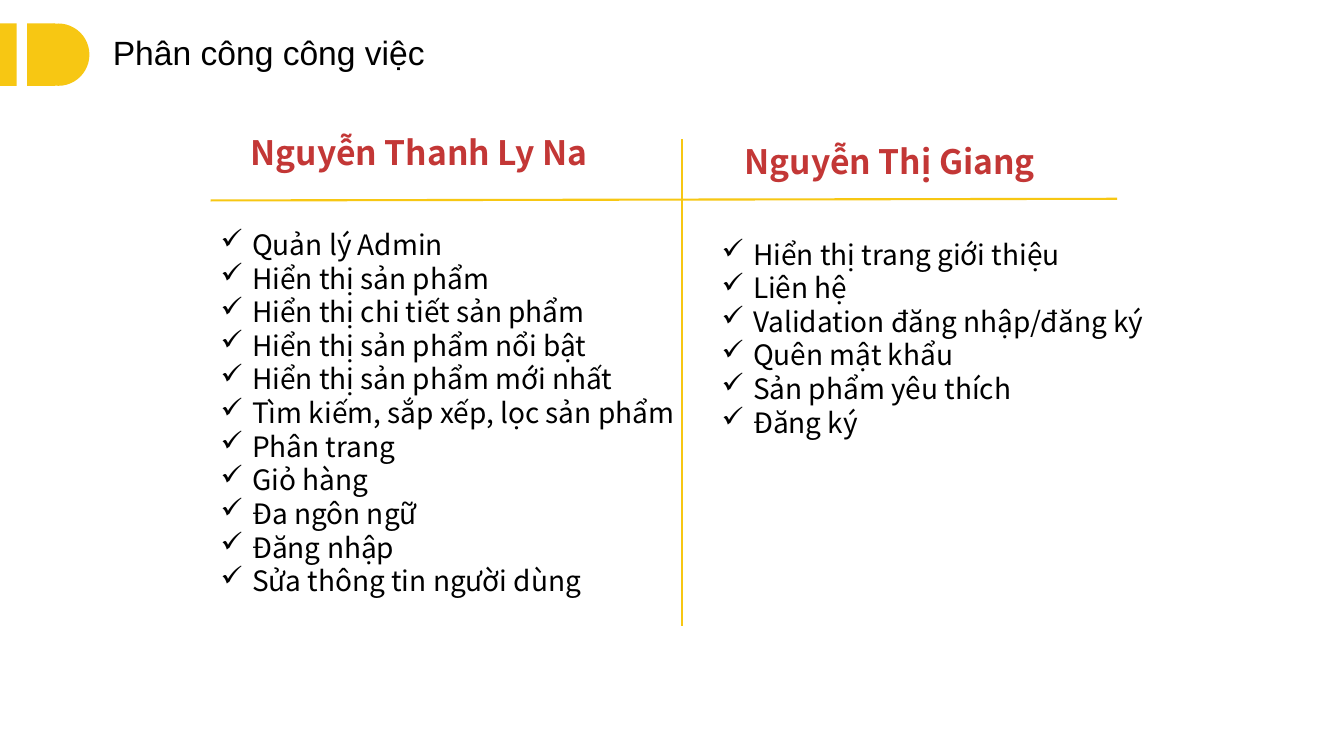
import pptx
import pptx.dml.color
import pptx.enum.shapes
import pptx.enum.text
import pptx.oxml.ns
import pptx.util
from lxml import etree

Pt = pptx.util.Pt
Shape = pptx.enum.shapes.MSO_SHAPE
Align = pptx.enum.text.PP_ALIGN

YELLOW = "F7C713"
RED = "C33736"
BLACK = "000000"
BODY_FONT = "Noto Sans CJK SC"
LEFT_TASKS = [
    "Quản lý Admin",
    "Hiển thị sản phẩm",
    "Hiển thị chi tiết sản phẩm",
    "Hiển thị sản phẩm nổi bật",
    "Hiển thị sản phẩm mới nhất",
    "Tìm kiếm, sắp xếp, lọc sản phẩm",
    "Phân trang",
    "Giỏ hàng",
    "Đa ngôn ngữ",
    "Đăng nhập",
    "Sửa thông tin người dùng",
]
RIGHT_TASKS = [
    "Hiển thị trang giới thiệu",
    "Liên hệ",
    "Validation đăng nhập/đăng ký",
    "Quên mật khẩu",
    "Sản phẩm yêu thích",
    "Đăng ký",
]


def color(value):
    return pptx.dml.color.RGBColor.from_string(value)


def add_block(shapes, kind, left, top, width, height):
    block = shapes.add_shape(kind, Pt(left), Pt(top), Pt(width), Pt(height))
    block.shadow.inherit = False
    block.fill.solid()
    block.fill.fore_color.rgb = color(YELLOW)
    block.line.fill.background()


def add_rule(shapes, start, end):
    rule = shapes.add_connector(
        pptx.enum.shapes.MSO_CONNECTOR.STRAIGHT,
        Pt(start[0]), Pt(start[1]), Pt(end[0]), Pt(end[1]))
    rule.line.color.rgb = color(YELLOW)
    rule.line.width = Pt(1.5)
    properties = rule._element.spPr
    etree.SubElement(properties, pptx.oxml.ns.qn("a:effectLst"))


def add_text(shapes, lines, left, top, width, height, size, font, shade,
             bold=False, align=Align.LEFT, wrap=True):
    box = shapes.add_textbox(Pt(left), Pt(top), Pt(width), Pt(height))
    frame = box.text_frame
    frame.word_wrap = wrap
    frame.text = "\n".join(lines)
    for para in frame.paragraphs:
        para.alignment = align
        para.font.size = Pt(size)
        para.font.name = font
        para.font.bold = bold
        para.font.color.rgb = color(shade)
    return frame


def fix_spacing(frame, pitch, inset):
    frame.margin_top = Pt(inset)
    for para in frame.paragraphs:
        para.line_spacing = Pt(pitch)


def add_heading(shapes, name, left, top, width):
    frame = add_text(shapes, [name], left, top, width, 36, 24, BODY_FONT, RED,
                     bold=True, align=Align.CENTER)
    fix_spacing(frame, 28.8, 5.2)


def add_checklist(shapes, tasks, left, top):
    pitch = 24
    frame = add_text(shapes, tasks, left, top, 480, pitch * len(tasks) + 8,
                     20, BODY_FONT, BLACK)
    fix_spacing(frame, pitch, 5.5)
    for para in frame.paragraphs:
        properties = para._p.get_or_add_pPr()
        properties.set("marL", str(Pt(22.5)))
        properties.set("indent", str(-Pt(22.5)))
        bullet = etree.SubElement(properties, pptx.oxml.ns.qn("a:buChar"))
        bullet.set("char", "✓")
        defaults = properties.find(pptx.oxml.ns.qn("a:defRPr"))
        defaults.addprevious(bullet)


def add_title(shapes, title):
    group = shapes.add_group_shape().shapes
    add_block(group, Shape.RECTANGLE, 0, 16.8, 12, 44.5)
    add_block(group, Shape.RECTANGLE, 19.4, 16.8, 20, 44.5)
    add_block(group, Shape.OVAL, 19.4, 16.8, 44.5, 44.5)
    add_text(group, [title], 73.5, 19.6, 290, 36, 24, "Arial", BLACK, wrap=False)


def main():
    deck = pptx.Presentation()
    deck.slide_width = Pt(960)
    deck.slide_height = Pt(540)
    page = deck.slides.add_slide(deck.slide_layouts[6])
    shapes = page.shapes
    add_title(shapes, "Phân công công việc")
    add_rule(shapes, (487.3, 99.4), (487.3, 447))
    add_heading(shapes, "Nguyễn Thanh Ly Na", 150.5, 89.3, 297.5)
    add_heading(shapes, "Nguyễn Thị Giang", 473, 95.8, 325)
    add_rule(shapes, (798, 142), (150.5, 143.2))
    add_checklist(shapes, LEFT_TASKS, 150.5, 157)
    add_checklist(shapes, RIGHT_TASKS, 508.3, 163.8)
    deck.save("out.pptx")


main()
